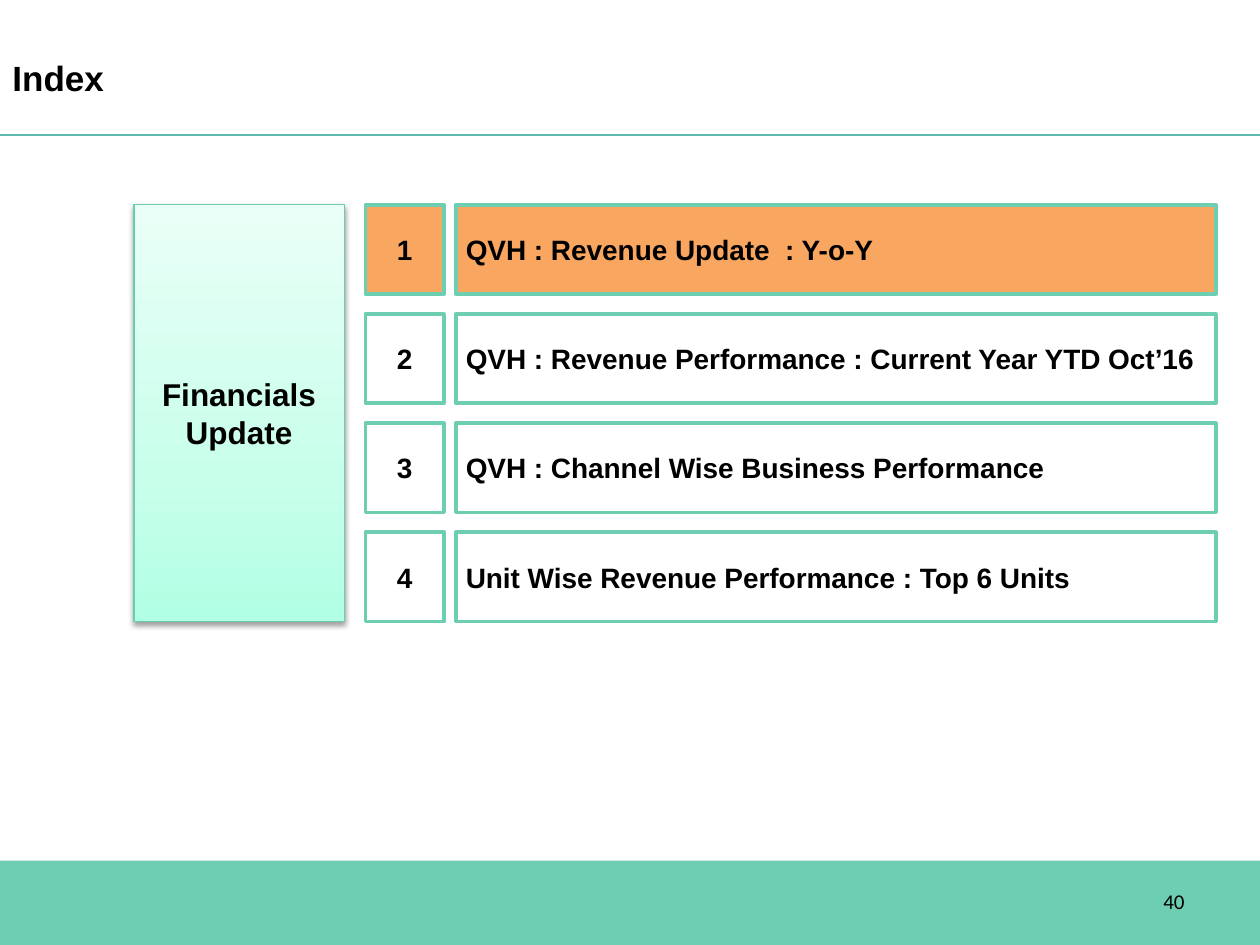
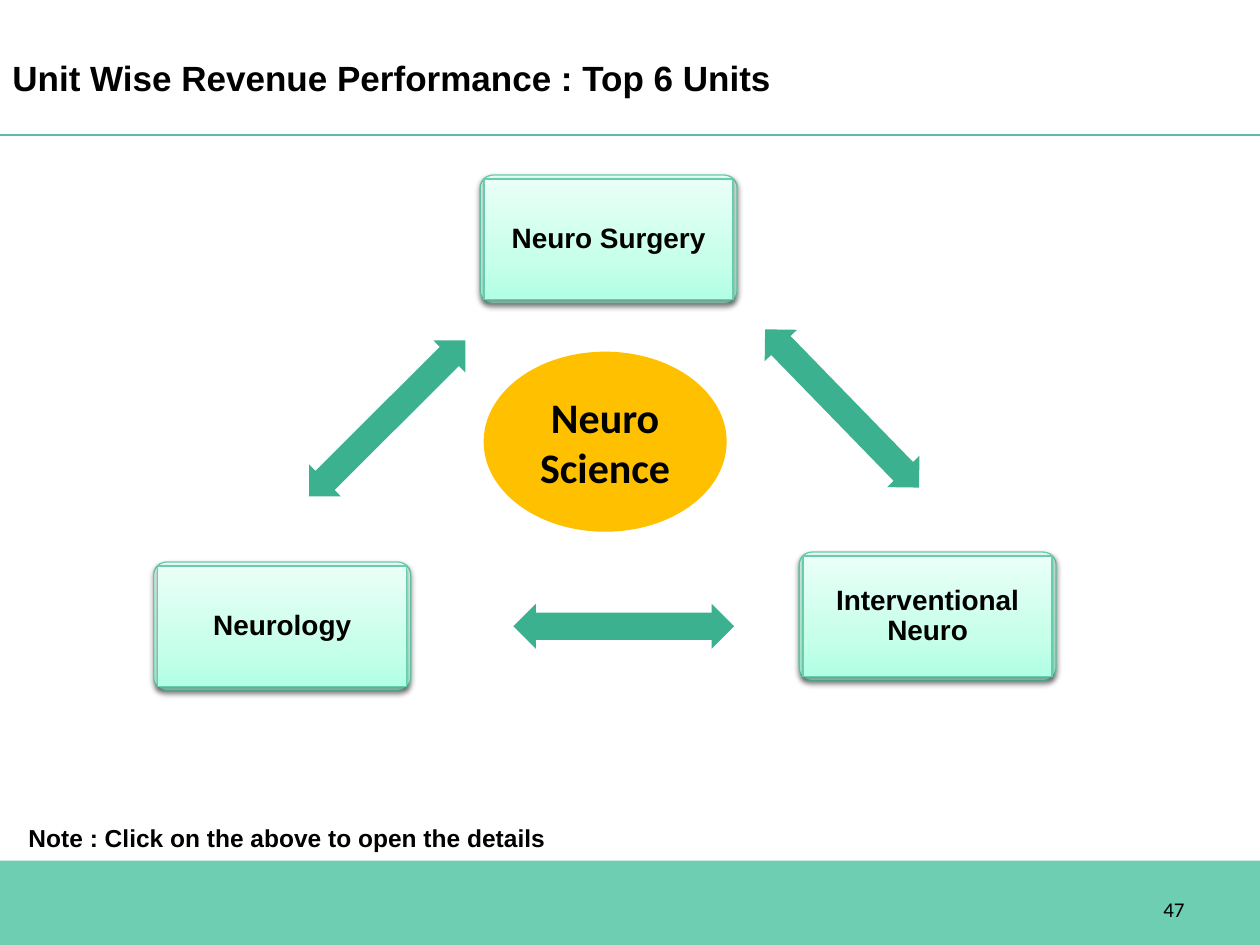
"""Build the index slide and the neuro science unit slide."""
from copy import deepcopy
from dataclasses import dataclass

from lxml.etree import SubElement
from pptx import Presentation
from pptx.dml.color import RGBColor
from pptx.enum.shapes import MSO_CONNECTOR, MSO_SHAPE
from pptx.enum.text import MSO_ANCHOR, MSO_AUTO_SIZE, PP_ALIGN
from pptx.oxml.ns import qn
from pptx.util import Cm, Pt

INDEX_TITLE = "Index"
INDEX_PANEL = "Financials Update"
INDEX_ITEMS = [
    "QVH : Revenue Update  : Y-o-Y",
    "QVH : Revenue Performance : Current Year YTD Oct’16",
    "QVH : Channel Wise Business Performance",
    "Unit Wise Revenue Performance : Top 6 Units",
]
ACTIVE_ITEM = 1
UNITS_TITLE = "Unit Wise Revenue Performance : Top 6 Units"
UNIT_CENTRE = "Neuro Science"
UNIT_CARDS = [
    ("Neuro Surgery", 9.68, 3.53),
    ("Neurology", 3.1, 11.33),
    ("Interventional Neuro", 16.11, 11.13),
]
UNIT_ARROWS = [(10.35, 12.17, 0), (5.58, 7.98, 135.1), (14.75, 7.78, 45.8)]
UNIT_NOTE = "Note : Click on the above to open the details"


@dataclass(frozen=True)
class Theme:
    """Colours, fonts and type sizes of the deck."""
    band: str = "6ECEB2"
    rule: str = "5DBAB0"
    edge: str = "69CCAF"
    arrow: str = "3CB18F"
    active: str = "F9A661"
    centre: str = "FFC000"
    paper: str = "FFFFFF"
    ink: str = "000000"
    mint: tuple = ((0, "B1FFE4"), (0.35, "C8FFEB"), (1, "EAFFF7"))
    font: str = "Arial"
    second_font: str = "Calibri"
    title: int = 20
    panel: int = 18
    item: int = 16
    note: int = 14
    number: int = 12
    hub: int = 24


THEME = Theme()


def colour(code):
    """Turn a hex code into a colour."""
    return RGBColor.from_string(code)


def write(shape, text, size, align=PP_ALIGN.CENTER, font=THEME.font, bold=True,
          anchor=MSO_ANCHOR.MIDDLE, insets=(0.25, 0.13), spacing=None):
    """Write one formatted run in a shape."""
    frame = shape.text_frame
    frame.word_wrap = True
    frame.auto_size = MSO_AUTO_SIZE.NONE
    frame.vertical_anchor = anchor
    frame.margin_left = frame.margin_right = Cm(insets[0])
    frame.margin_top = frame.margin_bottom = Cm(insets[1])
    para = frame.paragraphs[0]
    para.alignment = align
    if spacing:
        para.line_spacing = spacing
    span = para.add_run()
    span.text = text
    span.font.size = Pt(size)
    span.font.name = font
    span.font.bold = bold
    span.font.color.rgb = colour(THEME.ink)


def add_box(page, area, fill=None, edge=None, width=0.75, kind=MSO_SHAPE.RECTANGLE):
    """Add a flat preset shape; area is left, top, width, height in cm."""
    box = page.shapes.add_shape(kind, *map(Cm, area))
    box.shadow.inherit = False
    if fill:
        box.fill.solid()
        box.fill.fore_color.rgb = colour(fill)
    if edge:
        box.line.color.rgb = colour(edge)
        box.line.width = Pt(width)
    else:
        box.line.fill.background()
    return box


def add_mint_box(page, area, kind=MSO_SHAPE.RECTANGLE):
    """Add a shape with the mint gradient and a soft shadow below."""
    box = add_box(page, area, edge=THEME.edge, kind=kind)
    box.fill.gradient()
    box.fill.gradient_angle = 90
    properties = box.element.spPr
    stop_list = properties.find(".//" + qn("a:gsLst"))
    stop_list.append(deepcopy(stop_list[0]))
    for stop, (position, code) in zip(box.fill.gradient_stops, THEME.mint):
        stop.position = position
        stop.color.rgb = colour(code)
    shadow = SubElement(properties.find(qn("a:effectLst")), qn("a:outerShdw"),
                        blurRad="40000", dist="20000", dir="5400000", rotWithShape="0")
    shade = SubElement(shadow, qn("a:srgbClr"), val=THEME.ink)
    SubElement(shade, qn("a:alpha"), val="38000")
    return box


def add_text(page, area, text, size, **style):
    """Add a text box."""
    write(page.shapes.add_textbox(*map(Cm, area)), text, size, **style)


def add_page(deck, title, number, number_top):
    """Add a slide with the band, rule, title and page number."""
    page = deck.slides.add_slide(deck.slide_layouts[5])
    add_box(page, (0, 17.35, 25.4, 1.7), THEME.band)
    rule = page.shapes.add_connector(MSO_CONNECTOR.STRAIGHT, 0, Cm(2.72), Cm(25.4), Cm(2.72))
    rule.line.color.rgb = colour(THEME.rule)
    rule.line.width = Pt(0.75)
    SubElement(rule.element.spPr, qn("a:effectLst"))
    heading = page.shapes.title
    heading.left, heading.top, heading.width, heading.height = map(Cm, (0, 0.4, 22.86, 2.33))
    write(heading, title, THEME.title, PP_ALIGN.LEFT)
    add_text(page, (18.21, number_top, 5.92, 1.02), number, THEME.number,
             align=PP_ALIGN.RIGHT, font=THEME.second_font, bold=False)
    return page


def build_index(deck):
    """Build the index with its numbered rows."""
    page = add_page(deck, INDEX_TITLE, "40", 17.65)
    top, pitch, height = 4.13, 2.2, 1.8
    panel_height = pitch * (len(INDEX_ITEMS) - 1) + height
    panel = add_mint_box(page, (2.7, top, 4.24, panel_height))
    write(panel, INDEX_PANEL, THEME.panel)
    for number, item in enumerate(INDEX_ITEMS, 1):
        row_top = top + pitch * (number - 1)
        fill = THEME.active if number == ACTIVE_ITEM else THEME.paper
        label = add_box(page, (9.19, row_top, 15.32, height), fill, THEME.band, 2)
        write(label, item, THEME.item, PP_ALIGN.LEFT, insets=(0.2, 0.1))
        badge = add_box(page, (7.37, row_top, 1.58, height), fill, THEME.band, 2)
        write(badge, str(number), THEME.item, insets=(0, 0))


def build_units(deck):
    """Build the triangle of units around its centre."""
    page = add_page(deck, UNITS_TITLE, "47", 17.82)
    width, height, rim = 5.18, 2.59, 0.08
    for name, left, top in UNIT_CARDS:
        frame = add_mint_box(page, (left, top, width, height), MSO_SHAPE.ROUNDED_RECTANGLE)
        frame.adjustments[0] = 0.1
        card = add_mint_box(page, (left + rim, top + rim, width - 2 * rim, height - 2 * rim))
        write(card, name, THEME.item, insets=(0.18, 0.18), spacing=0.9)
    hub = add_box(page, (9.75, 7.09, 4.9, 3.63), THEME.centre, kind=MSO_SHAPE.OVAL)
    write(hub, UNIT_CENTRE, THEME.hub, font=THEME.second_font)
    for left, top, angle in UNIT_ARROWS:
        arrow = add_box(page, (left, top, 4.45, 0.91), THEME.arrow,
                        kind=MSO_SHAPE.LEFT_RIGHT_ARROW)
        arrow.adjustments[0] = 0.6
        arrow.adjustments[1] = 0.5
        arrow.rotation = angle
    add_text(page, (0.1, 16.46, 11.38, 0.86), UNIT_NOTE, THEME.note, anchor=MSO_ANCHOR.TOP)


def main():
    """Build and save the deck."""
    deck = Presentation()
    deck.slide_width, deck.slide_height = Cm(25.4), Cm(19.05)
    build_index(deck)
    build_units(deck)
    deck.save("out.pptx")


if __name__ == "__main__":
    main()
